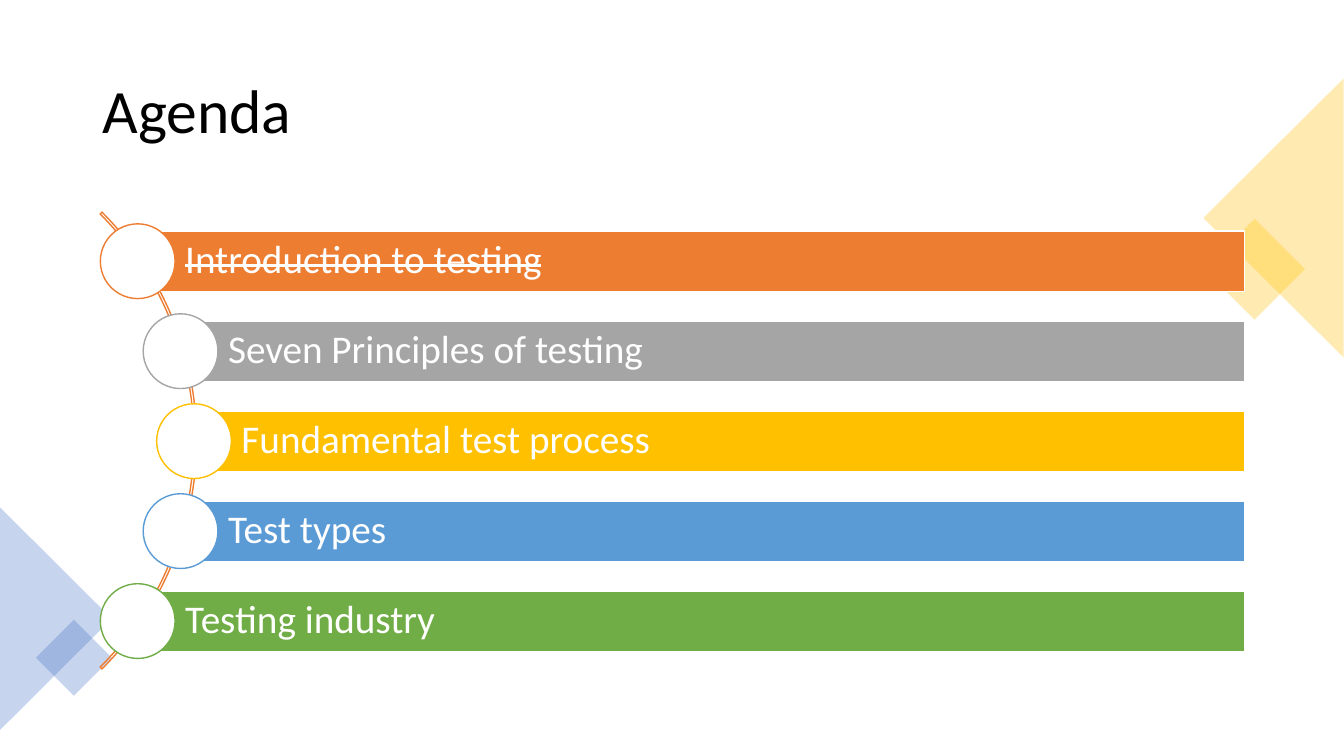
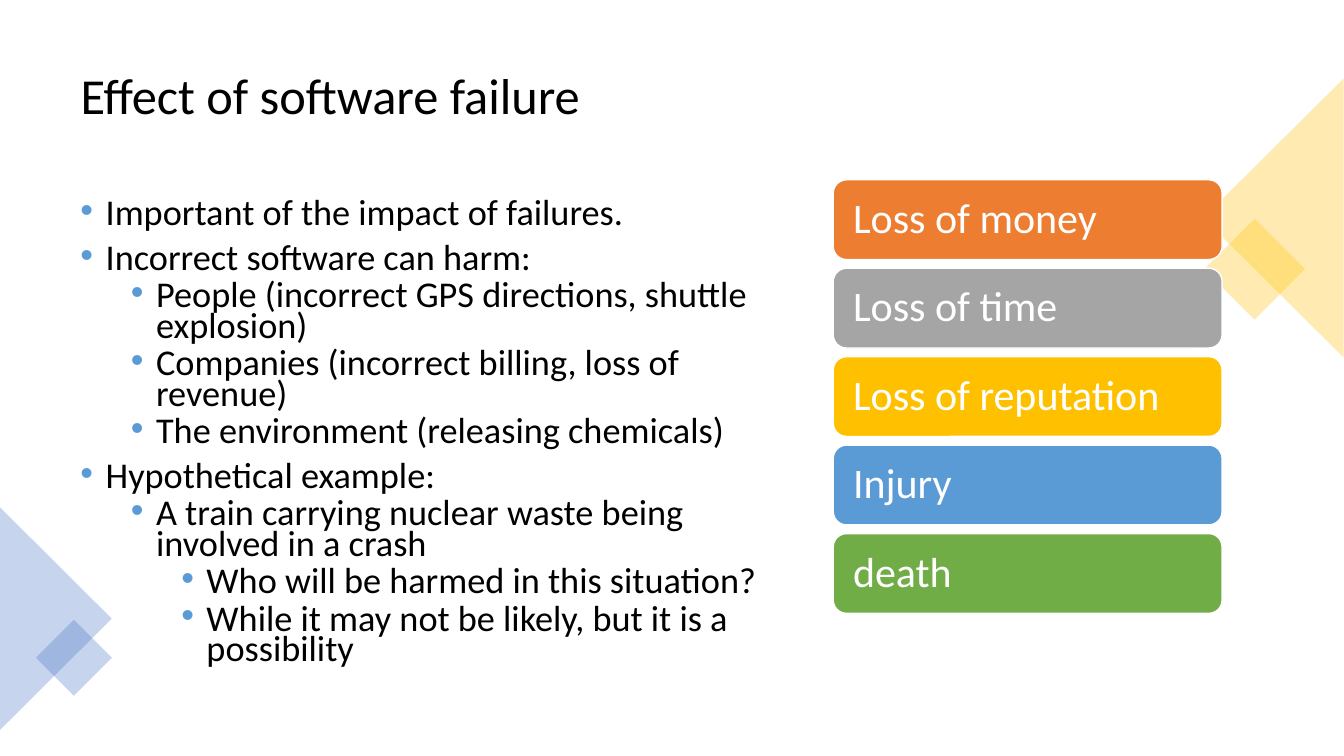
from lxml import etree
from pptx import Presentation
from pptx.dml.color import RGBColor
from pptx.enum.shapes import MSO_SHAPE
from pptx.enum.text import MSO_ANCHOR, MSO_AUTO_SIZE, PP_ALIGN
from pptx.oxml.ns import qn
from pptx.util import Inches, Pt

RECTANGLE, ROUNDED = MSO_SHAPE.RECTANGLE, MSO_SHAPE.ROUNDED_RECTANGLE
TRIANGLE, CIRCLE = MSO_SHAPE.ISOSCELES_TRIANGLE, MSO_SHAPE.OVAL
ARC = MSO_SHAPE.BLOCK_ARC
TOP, MIDDLE, LEFT = MSO_ANCHOR.TOP, MSO_ANCHOR.MIDDLE, PP_ALIGN.LEFT
NO_FIT = MSO_AUTO_SIZE.NONE

COLUMNS, ROWS = 160, 90
CELL = Inches(1 / 12)
SIDES = ("left", "top", "width", "height")
WHITE, BLACK, GOLD, BLUE = "FFFFFF", "000000", "FFC000", "4472C4"
ORANGE, SKY = "ED7D31", "5B9BD5"
SERIES = (ORANGE, "A5A5A5", GOLD, SKY, "70AD47")
FRAME = {"word_wrap": True, "auto_size": NO_FIT, "vertical_anchor": MIDDLE}


def paint(fill, shade):
    if shade is None:
        fill.background()
    else:
        fill.solid()
        fill.fore_color.rgb = RGBColor.from_string(shade)


def draw(page, kind, area, shade, outline=None):
    shape = page.shapes.add_shape(kind, *(round(CELL * cells) for cells in area))
    shape.shadow.inherit = False
    paint(shape.fill, shade)
    paint(shape.line.fill, outline)
    if outline:
        shape.line.width = Pt(1)
    return shape


deck = Presentation()
deck.slide_width, deck.slide_height = COLUMNS * CELL, ROWS * CELL
layout = deck.slide_layouts[5]
agenda = deck.slides.add_slide(layout)
effects = deck.slides.add_slide(layout)
texts = []

accents = [
    (RECTANGLE, (145.1, 27.8, 8.5, 8.5), 45, GOLD),
    (TRIANGLE, (135, 17.6, 33.2, 16.7), 270, GOLD),
    (TRIANGLE, (-6.6, 67, 26.5, 13.3), 90, BLUE),
    (RECTANGLE, (5.6, 75.1, 6.4, 6.4), 45, BLUE),
]
for kind, area, angle, shade in accents:
    accent = draw(agenda, kind, area, shade)
    accent.rotation = angle
    tint = accent.element.find(".//" + qn("a:srgbClr"))
    etree.SubElement(tint, qn("a:alpha"), val="30000")
    layout.shapes.element.append(accent.element)

titles = [
    (agenda, "Agenda", 44, (11, 4.8, 138, 17.4)),
    (effects, "Effect of software failure", 36, (8.4, 4.2, 143.2, 14.9)),
]
for page, words, size, area in titles:
    title = page.shapes.title
    for side, cells in zip(SIDES, area):
        setattr(title, side, round(CELL * cells))
    for name, value in FRAME.items():
        setattr(title.text_frame, name, value)
    texts.append((title.text_frame.paragraphs[0], words, size, BLACK, 0.9))

arc = draw(agenda, ARC, (-53.5, 14, 76.9, 76.9), None, ORANGE)
for index, value in enumerate((189, 27, 0.004)):
    arc.adjustments[index] = value

topics = ["Introduction to testing", "Seven Principles of testing",
          "Fundamental test process", "Test types", "Testing industry"]
centres = (16.4, 21.5, 23.1, 21.5, 16.4)
losses = ["Loss of money", "Loss of time", "Loss of reputation", "Injury", "death"]
BAR_RIGHT, BAR_HEIGHT, DISC = 148.2, 7.2, 8.9
labels = []
for row, (shade, topic, centre, loss) in enumerate(zip(SERIES, topics, centres, losses)):
    middle = 31.1 + 10.71 * row
    bar = draw(agenda, RECTANGLE,
               (centre, middle - BAR_HEIGHT / 2, BAR_RIGHT - centre, BAR_HEIGHT),
               shade, WHITE)
    draw(agenda, CIRCLE, (centre - DISC / 2, middle - DISC / 2, DISC, DISC), WHITE, shade)
    card = draw(effects, ROUNDED, (99.2, 21.4 + 10.53 * row, 46.3, 9.5), shade, WHITE)
    labels += [(bar, topic, 28, 5.65), (card, loss, 30, 1.9)]

for shape, words, size, indent in labels:
    frame = shape.text_frame
    margins = {"margin_left": round(CELL * indent), "margin_right": CELL,
               "margin_top": CELL, "margin_bottom": CELL}
    for name, value in {**FRAME, **margins}.items():
        setattr(frame, name, value)
    texts.append((frame.paragraphs[0], words, size, WHITE, 0.9))

points = [
    (0, "Important of the impact of failures."),
    (0, "Incorrect software can harm:"),
    (1, "People (incorrect GPS directions, shuttle explosion)"),
    (1, "Companies (incorrect billing, loss of revenue)"),
    (1, "The environment (releasing chemicals)"),
    (0, "Hypothetical example:"),
    (1, "A train carrying nuclear waste being involved in a crash"),
    (2, "Who will be harmed in this situation?"),
    (2, "While it may not be likely, but it is a possibility"),
]
box = effects.shapes.add_textbox(*(round(CELL * cells) for cells in (8.4, 23.4, 83.9, 57.7)))
for name, value in {**FRAME, "vertical_anchor": TOP}.items():
    setattr(box.text_frame, name, value)
for index, (level, words) in enumerate(points):
    para = box.text_frame.add_paragraph() if index else box.text_frame.paragraphs[0]
    para.level = level
    para.line_spacing = 0.7
    para.space_before = Pt((5 if level else 10) if index else 0)
    marks = para._p.get_or_add_pPr()
    marks.set("marL", str(CELL * (3 + 6 * level)))
    marks.set("indent", str(-3 * CELL))
    tint = etree.SubElement(marks, qn("a:buClr"))
    etree.SubElement(tint, qn("a:srgbClr"), val=SKY)
    etree.SubElement(marks, qn("a:buFont"), typeface="Arial")
    etree.SubElement(marks, qn("a:buChar"), char="•")
    texts.append((para, words, 25.9, BLACK, 0.7))

for para, words, size, shade, spacing in texts:
    para.alignment = LEFT
    para.line_spacing = spacing
    span = para.add_run()
    span.text = words
    for name, value in {"name": "Calibri", "size": Pt(size)}.items():
        setattr(span.font, name, value)
    paint(span.font.fill, shade)
    if words == topics[0]:
        span._r.get_or_add_rPr().set("strike", "sngStrike")

deck.save("out.pptx")
